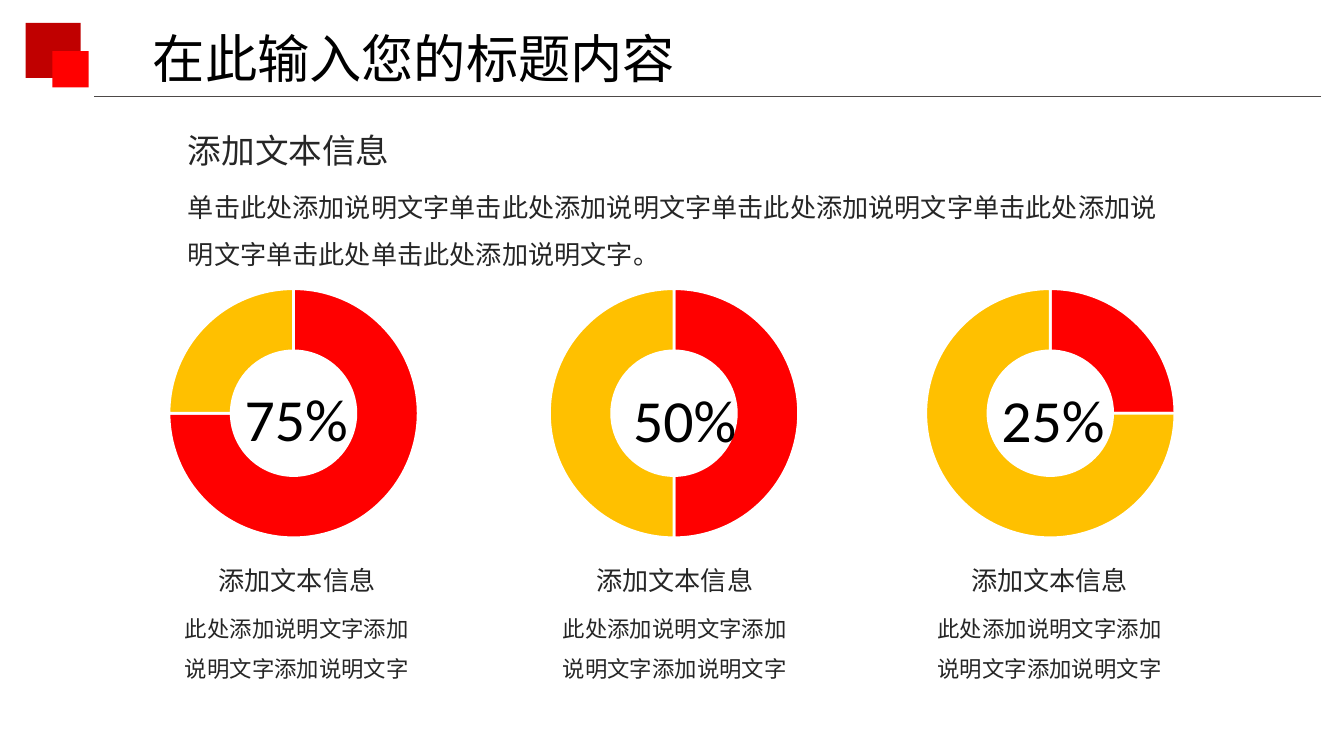
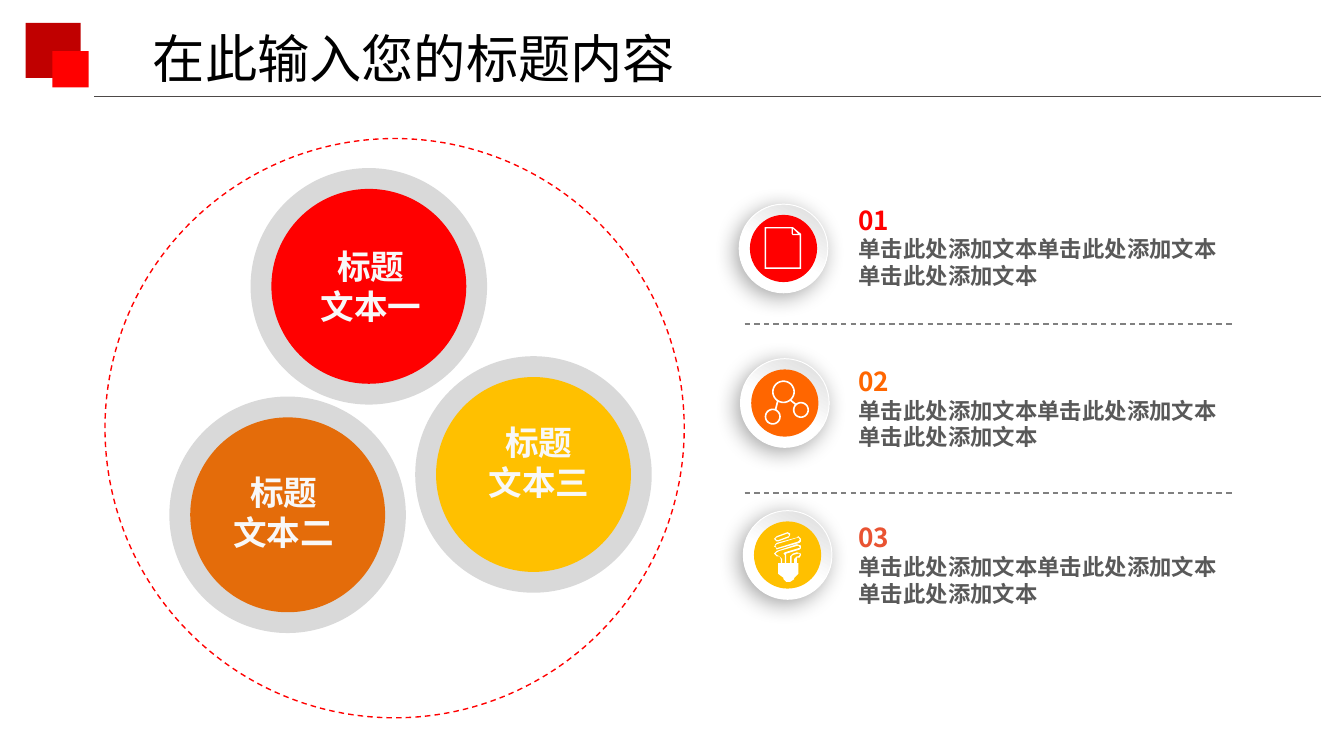
import math
from dataclasses import dataclass

import pptx
import pptx.chart.data
import pptx.dml.color
import pptx.enum.chart
import pptx.enum.dml
import pptx.enum.shapes
import pptx.enum.text
import pptx.oxml
import pptx.oxml.ns
import pptx.util
from lxml import etree

Pt = pptx.util.Pt
qn = pptx.oxml.ns.qn
SHAPE = pptx.enum.shapes.MSO_SHAPE
CENTER = pptx.enum.text.PP_ALIGN.CENTER


@dataclass(frozen=True)
class Theme:
    red: str = "FF0000"
    dark_red: str = "C00000"
    amber: str = "FFC000"
    orange: str = "FF6600"
    brown: str = "E46C0A"
    coral: str = "E95332"
    white: str = "FFFFFF"
    off_white: str = "F8F8F8"
    light_gray: str = "D9D9D9"
    mid_gray: str = "808080"
    text_gray: str = "595959"
    ink: str = "262626"
    black: str = "000000"
    rule: str = "4D4948"
    font: str = "Noto Sans CJK SC"
    figure_font: str = "Calibri"
    chart_font: str = "Arial"
    title: int = 28
    figure: int = 32
    heading: int = 18
    subheading: int = 14
    body: int = 12
    chart: int = 10


THEME = Theme()


def rgb(color):
    return pptx.dml.color.RGBColor.from_string(color)


def write(frame, text, size=THEME.body, color=THEME.ink, bold=False,
          font=THEME.font, align=None, spacing=None, before=None):
    """Append one formatted paragraph to a text frame."""
    first = frame.paragraphs[0]
    paragraph = frame.add_paragraph() if first.runs else first
    if align is not None:
        paragraph.alignment = align
    if spacing is not None:
        paragraph.line_spacing = spacing
    if before is not None:
        paragraph.space_before = Pt(before)
    run = paragraph.add_run()
    run.text = text
    run.font.name = font
    run.font.size = Pt(size)
    run.font.bold = bold
    run.font.color.rgb = rgb(color)
    east_asian = etree.SubElement(run.font._element, qn("a:ea"))
    east_asian.set("typeface", font)


def circle(x, y, radius, steps=36):
    """Corner points of a polygon that reads as a circle."""
    angles = [2 * math.pi * step / steps for step in range(steps)]
    return [(x + radius * math.cos(a), y + radius * math.sin(a)) for a in angles]


class Deck:
    def __init__(self, theme):
        self.theme = theme
        self.presentation = pptx.Presentation()
        self.presentation.slide_width = Pt(720)
        self.presentation.slide_height = Pt(405)
        self.shapes = None

    def new_slide(self, title):
        theme = self.theme
        slide = self.presentation.slides.add_slide(self.presentation.slide_layouts[6])
        self.shapes = slide.shapes
        self.shape(SHAPE.RECTANGLE, 13.7, 12.2, 29.5, 29.5, theme.dark_red)
        self.shape(SHAPE.RECTANGLE, 28.1, 27.4, 19.4, 19.4, theme.red)
        self.rule(707.8, 50.4, 51.8, theme.rule)
        self.text(74.9, 10.8, 305.3, 41,
                  (title, dict(size=theme.title, color=theme.black)))

    def shape(self, kind, left, top, width, height, fill=None, line=None,
              line_width=0.75, dash=False):
        shape = self.shapes.add_shape(kind, Pt(left), Pt(top), Pt(width), Pt(height))
        self.paint(shape, fill, line)
        if line:
            shape.line.width = Pt(line_width)
        if dash:
            shape.line.dash_style = pptx.enum.dml.MSO_LINE.DASH
        return shape

    def paint(self, shape, fill, line=None):
        shape.shadow.inherit = False
        for part, color in ((shape.fill, fill), (shape.line.fill, line)):
            if color:
                part.solid()
                part.fore_color.rgb = rgb(color)
            else:
                part.background()

    def disc(self, x, y, diameter, fill=None, **line):
        """Circle given by its centre."""
        return self.shape(SHAPE.OVAL, x - diameter / 2, y - diameter / 2,
                          diameter, diameter, fill, **line)

    def rule(self, start, end, y, color, dash=False):
        rule = self.shapes.add_connector(pptx.enum.shapes.MSO_CONNECTOR.STRAIGHT,
                                         Pt(start), Pt(y), Pt(end), Pt(y))
        rule.line.color.rgb = rgb(color)
        rule.line.width = Pt(0.75)
        if dash:
            rule.line.dash_style = pptx.enum.dml.MSO_LINE.DASH
        etree.SubElement(rule._element.spPr, qn("a:effectLst"))

    def text(self, left, top, width, height, *lines, wrap=True):
        """Text box; each line is a pair of text and format."""
        box = self.shapes.add_textbox(Pt(left), Pt(top), Pt(width), Pt(height))
        box.text_frame.word_wrap = wrap
        for words, style in lines:
            write(box.text_frame, words, **style)

    def doughnut(self, left, top, width, height, values):
        theme = self.theme
        data = pptx.chart.data.CategoryChartData()
        data.categories = ["1", "2"]
        data.add_series("Series 1", values)
        chart = self.shapes.add_chart(pptx.enum.chart.XL_CHART_TYPE.DOUGHNUT, Pt(left),
                                      Pt(top), Pt(width), Pt(height), data).chart
        chart.has_title = False
        chart.has_legend = False
        chart.font.name = theme.chart_font
        chart.font.size = Pt(theme.chart)
        chart.font.color.rgb = rgb(theme.black)
        plot = chart.plots[0]
        plot.vary_by_categories = True
        plot._element.find(qn("c:holeSize")).set("val", "68")
        for index, color in enumerate((theme.red, theme.amber)):
            sector = plot.series[0].points[index].format
            sector.fill.solid()
            sector.fill.fore_color.rgb = rgb(color)
            sector.line.color.rgb = rgb(theme.white)
            sector.line.width = Pt(1.5)

    def icon(self, left, top, contours):
        """White outline whose contours are in hundredths of an inch."""
        builder = None
        for contour in contours:
            points = [(x * 72, y * 72) for x, y in contour]
            if builder is None:
                builder = self.shapes.build_freeform(*points[0], scale=Pt(0.01))
            else:
                builder.move_to(*points[0])
            builder.add_line_segments(points[1:], close=True)
        self.paint(builder.convert_to_shape(Pt(left), Pt(top)), self.theme.white)

    def badge(self, left, top, fill, icon_left, icon_top, contours):
        """Raised ring with a coloured disc and an icon, grouped."""
        theme = self.theme
        slide_shapes = self.shapes
        self.shapes = slide_shapes.add_group_shape().shapes
        x, y = left + 23.75, top + 23.75
        ring = self.disc(x, y, 47.5, theme.white, line=theme.white, line_width=0.5)
        ring.fill.gradient()
        ring.fill.gradient_angle = 60
        stops = ((0.45, theme.white), (1, theme.light_gray))
        for stop, (position, color) in zip(ring.fill.gradient_stops, stops):
            stop.position = position
            stop.color.rgb = rgb(color)
        effects = ring._element.spPr.find(qn("a:effectLst"))
        shadow = etree.SubElement(effects, qn("a:outerShdw"), blurRad=str(Pt(12)),
                                  dist=str(Pt(3)), dir="8100000", algn="tr",
                                  rotWithShape="0")
        color = etree.SubElement(shadow, qn("a:srgbClr"), val=theme.black)
        etree.SubElement(color, qn("a:alpha"), val="34000")
        self.disc(x, y, 36, fill)
        self.icon(icon_left, icon_top, contours)
        self.shapes = slide_shapes


TITLE = "在此输入您的标题内容"

DOCUMENT = [
    [(27, 5), (21, 0), (0, 0), (0, 31), (27, 31)],
    [(21, 1), (25, 5), (21, 5)],
    [(1, 30), (1, 1), (20, 1), (20, 5), (21, 6), (26, 6), (26, 30)],
]
NETWORK = [circle(x, y, radius)
           for x, y, outer, inner in ((14, 8.5, 8.5, 7.3), (6, 27, 6, 4.8), (27, 22, 6, 4.8))
           for radius in (outer, inner)] + [
    [(9, 15.5), (10.2, 16), (8.8, 21.6), (7.6, 21.3)],
    [(20, 14.6), (23.3, 17.2), (22.5, 18.2), (19.2, 15.5)],
]
BULB = [
    [(1, 9), (0, 11), (1, 11), (2, 13), (3, 12.5), (19, 8), (20, 7), (20, 5),
     (18, 3), (17, 4), (2, 8)],
    [(18, 4), (19, 5), (19, 6), (18, 7), (3, 11.6), (2, 12), (1, 10), (2, 9)],
    [(1, 6), (2, 7), (3, 7), (11, 4), (12, 2), (12, 1), (10, 0), (2, 3), (0, 5)],
    [(2, 4), (10, 1), (11, 2), (11, 3), (3, 6), (2, 6), (1, 5)],
    [(20, 17), (20, 16), (17, 15), (14, 16), (12, 18), (12, 23), (9, 23), (9, 16),
     (19, 13), (20, 12), (20, 10), (17, 9), (2, 14), (0, 16), (1, 17), (2, 18),
     (4, 18), (5, 20), (5, 23), (3, 23), (3, 31), (7, 34), (7, 35), (9, 37),
     (12, 37), (15, 35), (15, 34), (18, 31), (18, 23), (17, 23), (17, 19), (19, 19)],
    [(7, 16), (8, 17), (8, 23), (6, 23), (6, 20), (4, 18), (2, 17), (1, 16),
     (2, 15), (4, 14), (18, 10), (19, 11), (19, 12), (18, 12), (8, 15)],
    [(18, 18), (17, 18), (15, 20), (15, 23), (13, 23), (13, 18), (14, 17),
     (18, 16), (19, 16), (19, 17)],
]


def percentage_slide(deck):
    theme = deck.theme
    deck.new_slide(TITLE)
    columns = ((75, 54, 90.7, 200.9, 87.8),
               (50, 257.8, 298.8, 201.6, 290.2),
               (25, 459.4, 496.1, 201.6, 491))
    for share, ring_left, figure_left, figure_top, note_left in columns:
        deck.doughnut(ring_left, 144.7, 206.6, 153.4, (share, 100 - share))
        deck.text(figure_left, figure_top, 136.1, 46.1,
                  (f"{share}%", dict(size=theme.figure, color=theme.black,
                                     font=theme.figure_font, align=CENTER)))
        deck.text(note_left, 298.8, 142.6, 82.1,
                  ("添加文本信息", dict(size=theme.subheading, align=CENTER)),
                  ("此处添加说明文字添加说明文字添加说明文字",
                   dict(align=CENTER, spacing=1.5, before=3)))
    deck.text(93.6, 66.2, 543.6, 79.9,
              ("添加文本信息", dict(size=theme.heading)),
              ("单击此处添加说明文字" * 4 + "单击此处单击此处添加说明文字。",
               dict(size=theme.subheading, spacing=1.5, before=3)))


def circles_slide(deck):
    theme = deck.theme
    deck.new_slide(TITLE)
    deck.disc(211.4, 229.4, 310.3, line=theme.red, dash=True)
    topics = (("文本二", theme.brown, 154.1, 275.8, 117.4, 249.1),
              ("文本三", theme.amber, 285.8, 254.2, 254.2, 222.5),
              ("文本一", theme.red, 197.6, 153.4, 164.2, 128.2))
    label = dict(size=theme.heading, color=theme.off_white, bold=True, align=CENTER)
    for name, color, x, y, label_left, label_top in topics:
        deck.disc(x, y, 126.7, theme.light_gray)
        deck.disc(x, y, 104.4, color)
        deck.text(label_left, label_top, 69.1, 51.1,
                  ("标题", label), (name, label), wrap=False)

    detail = dict(color=theme.text_gray, bold=True)
    entries = (("01", theme.red, 105.8), ("02", theme.orange, 192.2),
               ("03", theme.coral, 275.8))
    for number, color, top in entries:
        deck.text(452.9, top, 218.9, 53.3,
                  (number, dict(size=theme.subheading, color=color, bold=True)),
                  ("单击此处添加文本单击此处添加文本", detail),
                  ("单击此处添加文本", detail))
    for y in (173.5, 264.2):
        deck.rule(398.9, 660.2, y, theme.mid_gray, dash=True)
    deck.badge(396, 109.4, theme.red, 409.7, 121.7, DOCUMENT)
    deck.badge(396.7, 192.2, theme.orange, 409.7, 203.8, NETWORK)
    deck.badge(398.2, 273.6, theme.amber, 414.7, 285.1, BULB)


def main():
    deck = Deck(THEME)
    percentage_slide(deck)
    circles_slide(deck)
    deck.presentation.save("out.pptx")


if __name__ == "__main__":
    main()
